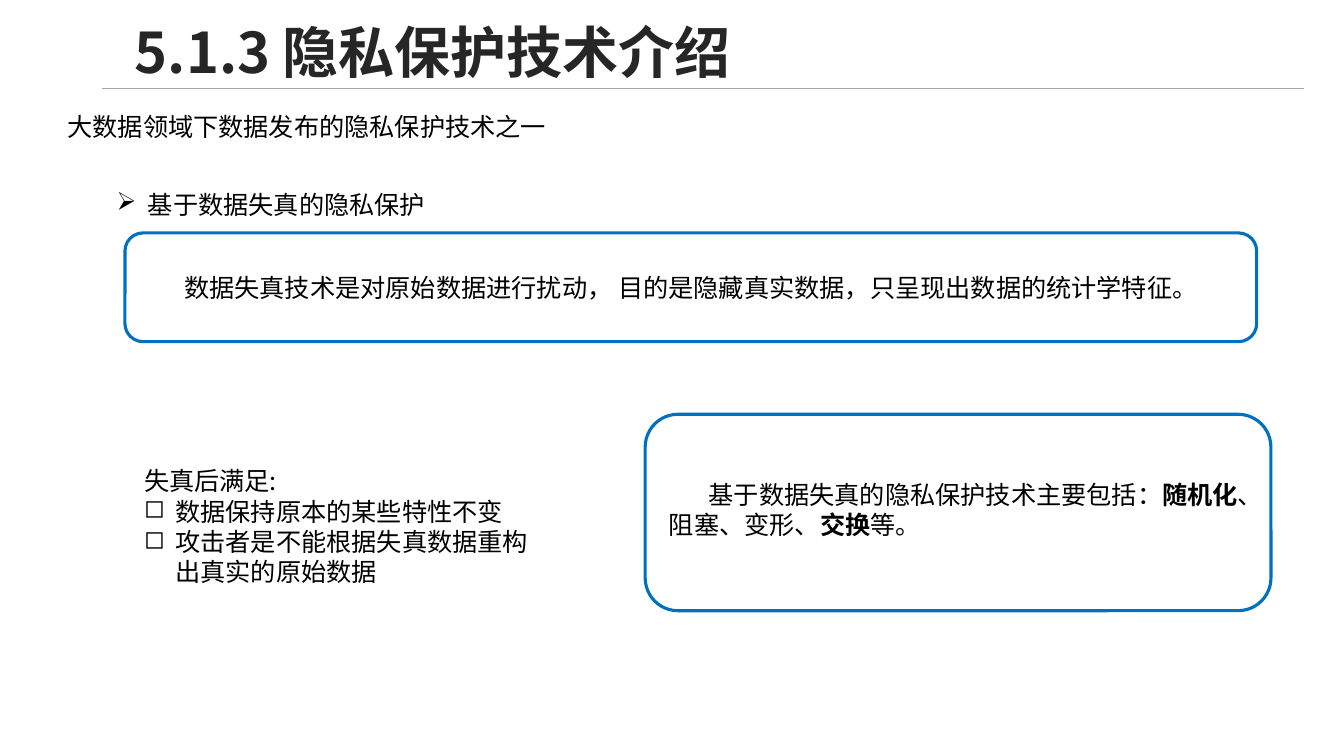
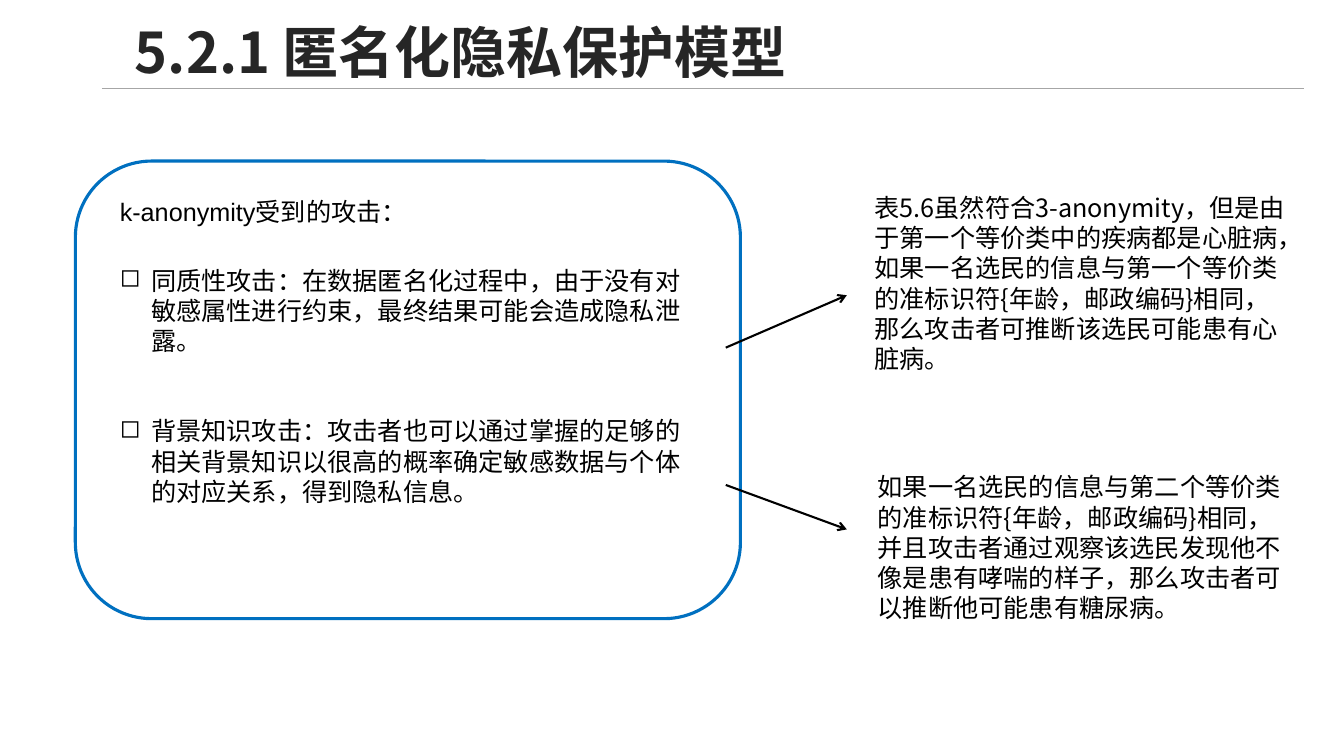
from dataclasses import dataclass

from lxml import etree
from pptx import Presentation
from pptx.dml.color import RGBColor
from pptx.enum.shapes import MSO_CONNECTOR, MSO_SHAPE
from pptx.enum.text import MSO_ANCHOR, MSO_AUTO_SIZE, PP_ALIGN
from pptx.oxml.ns import qn
from pptx.util import Cm, Pt

STRAIGHT = MSO_CONNECTOR.STRAIGHT
ROUNDED = MSO_SHAPE.ROUNDED_RECTANGLE
MIDDLE = MSO_ANCHOR.MIDDLE
GROW = MSO_AUTO_SIZE.SHAPE_TO_FIT_TEXT
LEFT, CENTER = PP_ALIGN.LEFT, PP_ALIGN.CENTER
BLANK_LAYOUT = 6
ARROW, SQUARE = "➢", "◻"


@dataclass(frozen=True)
class Theme:
    ink: RGBColor = RGBColor(0x00, 0x00, 0x00)
    heading: RGBColor = RGBColor(0x26, 0x26, 0x26)
    rule: RGBColor = RGBColor(0xA6, 0xA6, 0xA6)
    frame: RGBColor = RGBColor(0x00, 0x70, 0xC0)
    paper: RGBColor = RGBColor(0xFF, 0xFF, 0xFF)
    font: str = "Noto Sans CJK SC"
    latin_font: str = "Arial"
    heading_size: float = 40
    body_size: float = 18
    hang: float = 0.79


@dataclass(frozen=True)
class Para:
    """One paragraph; every second part of a tuple of texts is bold."""
    text: str | tuple
    bullet: str = ""
    first_line: float = 0
    before: float = 0


class Deck:
    def __init__(self, theme):
        self.theme = theme
        self.prs = Presentation()
        self.prs.slide_width, self.prs.slide_height = Cm(33.87), Cm(19.05)
        self.slide = None

    def new_slide(self, title):
        theme = self.theme
        layout = self.prs.slide_layouts[BLANK_LAYOUT]
        self.slide = self.prs.slides.add_slide(layout)
        self.line((2.57, 2.23), (32.87, 2.23), theme.rule, 1)
        heading = self.text_box(3.15, 0.38, 29.49, 2.01)
        heading.vertical_anchor = MIDDLE
        paragraph = heading.paragraphs[0]
        paragraph.text = title
        paragraph.line_spacing = 0.9
        self.style(paragraph, theme.heading_size, theme.heading, bold=True)

    def line(self, start, end, color, width):
        line = self.slide.shapes.add_connector(
            STRAIGHT, *(Cm(value) for value in (*start, *end)))
        line.line.color.rgb = color
        line.line.width = Pt(width)
        etree.SubElement(line._element.spPr, qn("a:effectLst"))
        return line

    def arrow(self, start, end):
        arrow = self.line(start, end, self.theme.ink, 1.5)
        outline = arrow._element.spPr.find(qn("a:ln"))
        etree.SubElement(outline, qn("a:tailEnd"), type="arrow")

    def frame(self, left, top, width, height, text=""):
        frame = self.slide.shapes.add_shape(
            ROUNDED, Cm(left), Cm(top), Cm(width), Cm(height))
        frame.shadow.inherit = False
        frame.fill.solid()
        frame.fill.fore_color.rgb = self.theme.paper
        frame.line.color.rgb = self.theme.frame
        frame.line.width = Pt(2.25)
        if text:
            frame.text_frame.vertical_anchor = MIDDLE
            self.fill_text(frame.text_frame, [Para(text)], align=CENTER)

    def text_box(self, left, top, width, height):
        box = self.slide.shapes.add_textbox(
            Cm(left), Cm(top), Cm(width), Cm(height))
        box.text_frame.word_wrap = True
        return box.text_frame

    def body(self, left, top, width, height, *paras, font=None):
        frame = self.text_box(left, top, width, height)
        frame.auto_size = GROW
        self.fill_text(frame, paras, font)

    def fill_text(self, frame, paras, font=None, align=LEFT):
        for index, para in enumerate(paras):
            paragraph = frame.add_paragraph() if index else frame.paragraphs[0]
            paragraph.alignment = align
            if para.before:
                paragraph.space_before = Pt(para.before)
            self.indent(paragraph, para)
            if isinstance(para.text, str):
                paragraph.text = para.text
            else:
                for position, part in enumerate(para.text):
                    run = paragraph.add_run()
                    run.text = part
                    run.font.bold = position % 2 == 1
            self.style(paragraph, self.theme.body_size, self.theme.ink, font)

    def indent(self, paragraph, para):
        properties = paragraph._p.get_or_add_pPr()
        if para.bullet:
            hang = Cm(self.theme.hang)
            properties.set("marL", str(hang))
            properties.set("indent", str(-hang))
            etree.SubElement(properties, qn("a:buChar"), char=para.bullet)
        elif para.first_line:
            properties.set("indent", str(Cm(para.first_line)))

    def style(self, paragraph, size, color, font=None, bold=False):
        paragraph.font.size = Pt(size)
        paragraph.font.color.rgb = color
        paragraph.font.name = font or self.theme.font
        if bold:
            paragraph.font.bold = True
        defaults = paragraph._p.pPr.find(qn("a:defRPr"))
        etree.SubElement(defaults, qn("a:ea"), typeface=self.theme.font)


def add_distortion(deck):
    deck.new_slide("5.1.3 隐私保护技术介绍")
    deck.body(2.69, 4.65, 10.92, 1.02, Para("基于数据失真的隐私保护", ARROW))
    deck.body(1.45, 2.69, 13.36, 1.02,
              Para("大数据领域下数据发布的隐私保护技术之一"))
    deck.body(3.38, 11.61, 10.69, 3.35,
              Para("失真后满足:"),
              Para("数据保持原本的某些特性不变", SQUARE),
              Para("攻击者是不能根据失真数据重构出真实的原始数据", SQUARE))
    deck.frame(3.15, 5.87, 28.52, 2.74,
               "数据失真技术是对原始数据进行扰动， 目的是隐藏真实数据，"
               "只呈现出数据的统计学特征。")
    deck.frame(16.26, 10.44, 15.77, 4.95)
    deck.body(16.61, 11.96, 15.06, 1.8,
              Para(("基于数据失真的隐私保护技术主要包括：", "随机化",
                    "、阻塞、变形、", "交换", "等。"), first_line=1))


def add_anonymity(deck):
    deck.new_slide("5.2.1 匿名化隐私保护模型")
    deck.frame(1.9, 4.06, 16.76, 11.53)
    deck.body(2.77, 6.55, 15.11, 6.4,
              Para("同质性攻击：在数据匿名化过程中，由于没有对敏感属性进行约束，"
                   "最终结果可能会造成隐私泄露。", SQUARE),
              Para("背景知识攻击：攻击者也可以通过掌握的足够的相关背景知识以很高的"
                   "概率确定敏感数据与个体的对应关系，得到隐私信息。",
                   SQUARE, before=43))
    deck.body(21.79, 4.72, 10.85, 4.88,
              Para("表5.6虽然符合3-anonymity，但是由于第一个等价类中的疾病都是"
                   "心脏病，如果一名选民的信息与第一个等价类的准标识符{年龄，"
                   "邮政编码}相同，那么攻击者可推断该选民可能患有心脏病。"))
    deck.body(21.87, 11.76, 10.85, 4.09,
              Para("如果一名选民的信息与第二个等价类的准标识符{年龄，邮政编码}"
                   "相同，并且攻击者通过观察该选民发现他不像是患有哮喘的样子，"
                   "那么攻击者可以推断他可能患有糖尿病。"))
    for start, end in ((8.76, 7.44), (12.22, 13.34)):
        deck.arrow((18.29, start), (21.34, end))
    deck.body(2.77, 4.83, 8.41, 1.02, Para("k-anonymity受到的攻击："),
              font=deck.theme.latin_font)


def main():
    deck = Deck(Theme())
    add_distortion(deck)
    add_anonymity(deck)
    deck.prs.save("out.pptx")


if __name__ == "__main__":
    main()
